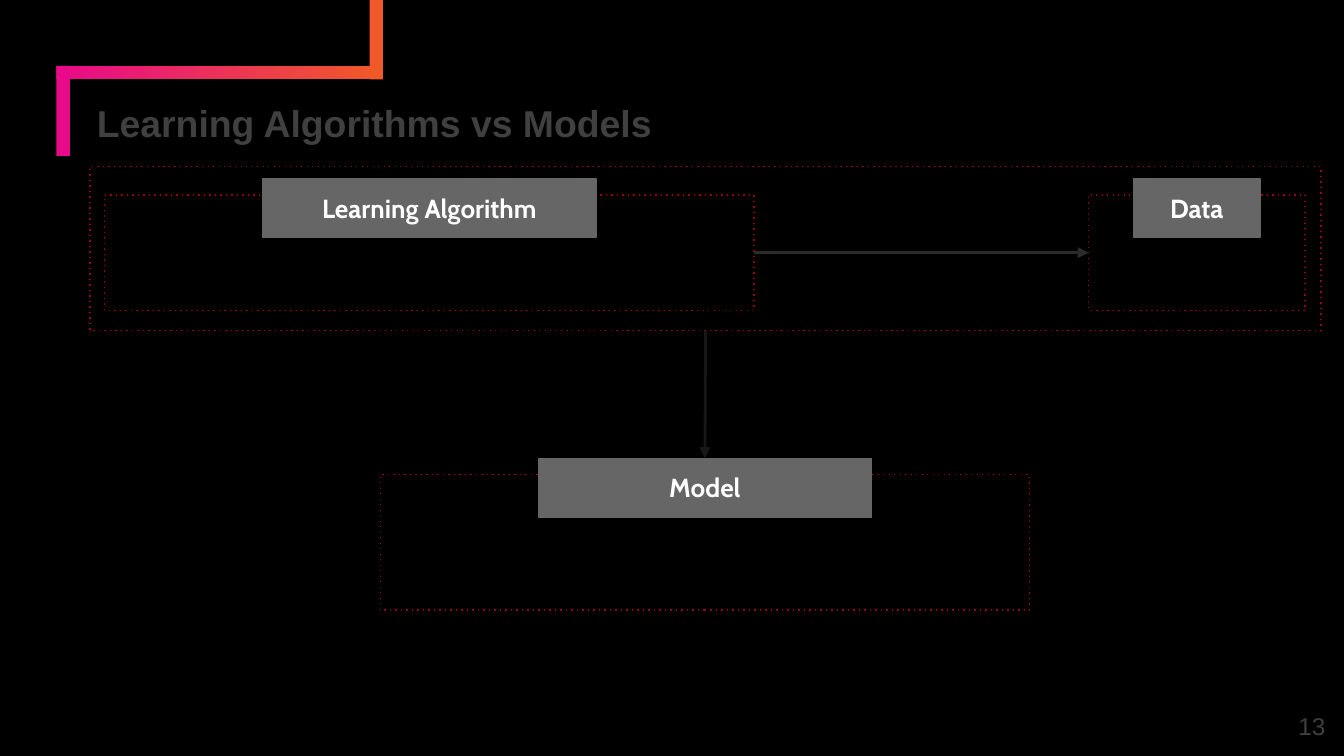
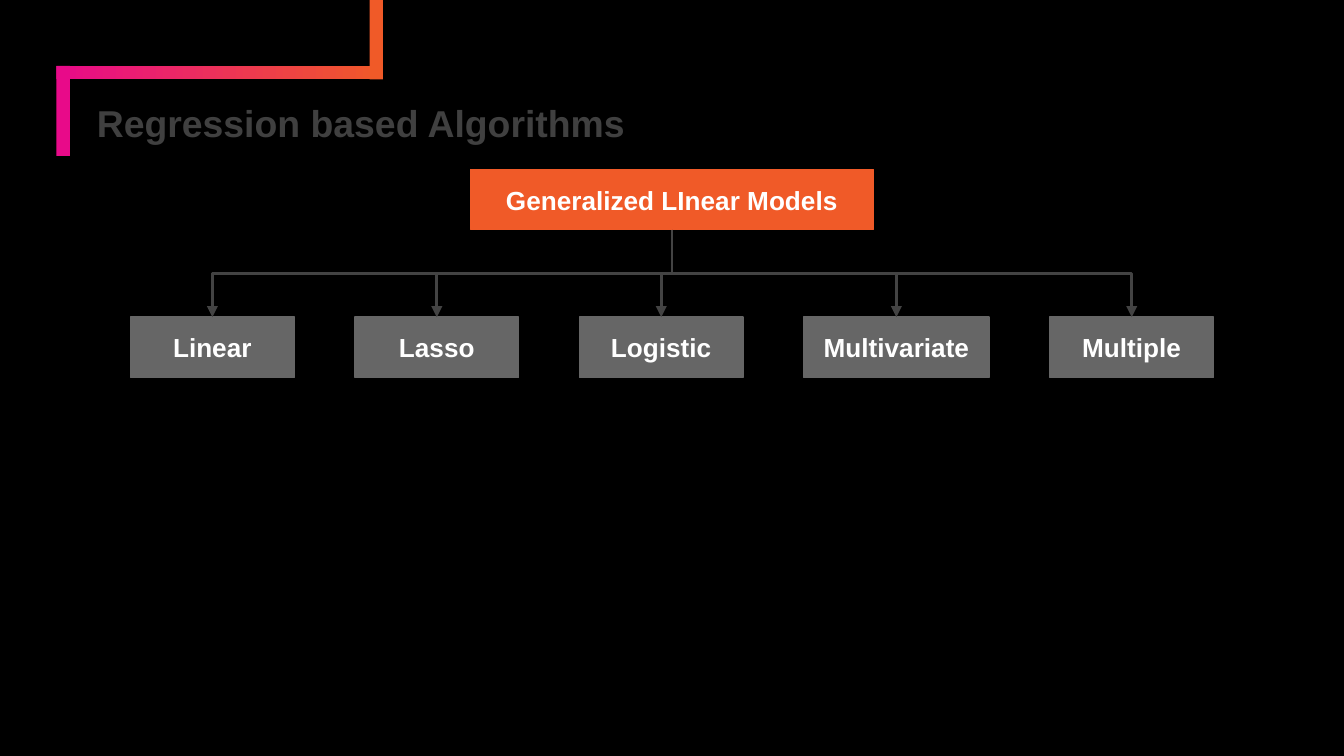
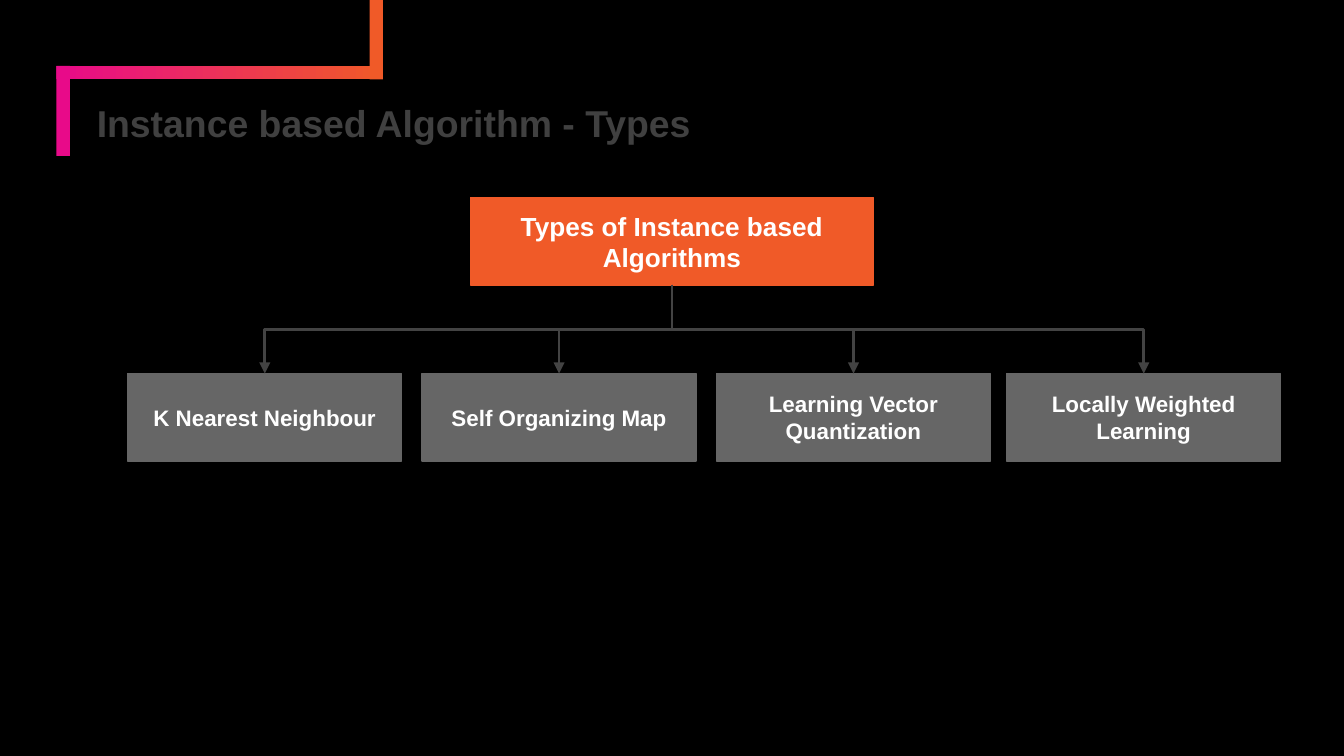
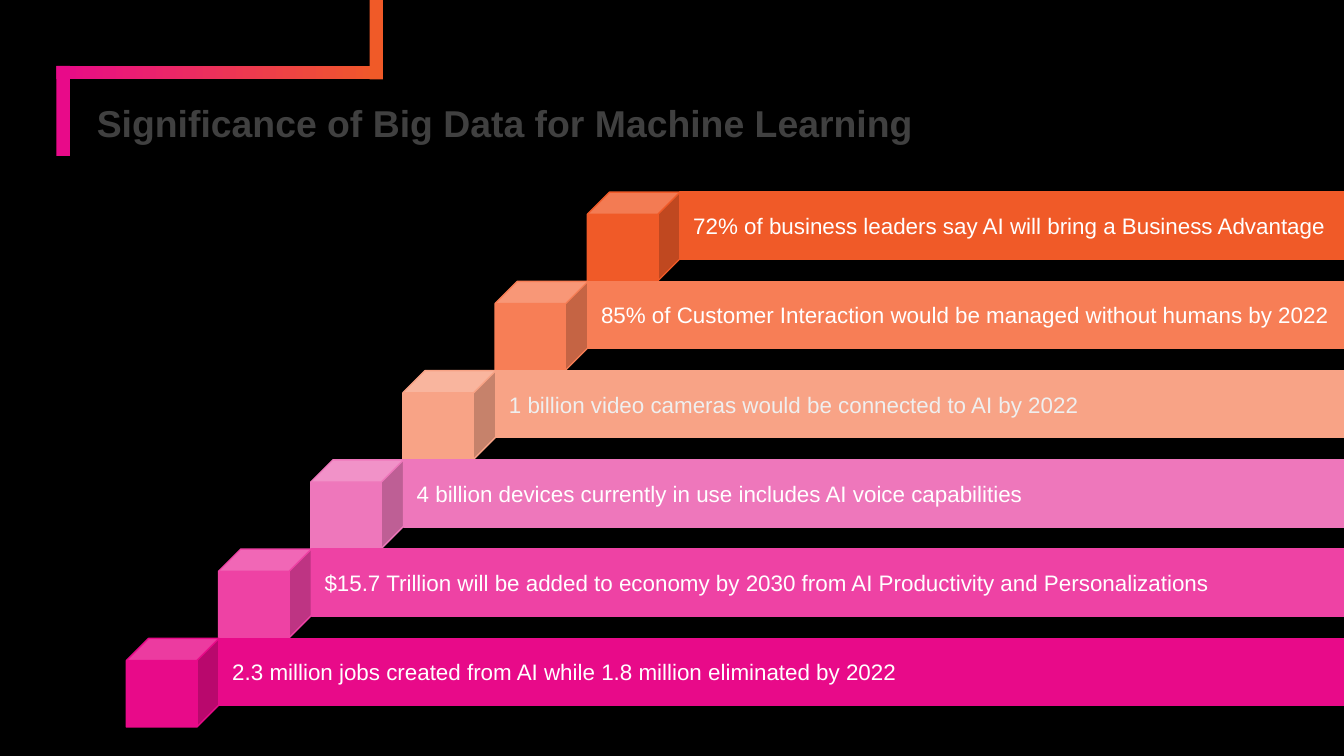
from dataclasses import dataclass

from lxml import etree
from pptx import Presentation
from pptx.dml.color import RGBColor
from pptx.enum import shapes, text
from pptx.oxml.ns import qn
from pptx.util import Inches, Pt


@dataclass(frozen=True)
class Theme:
    background: str = "000000"
    orange: str = "F05A28"
    pink: str = "E80A89"
    grey: str = "666666"
    ink: str = "404040"
    branch: str = "434343"
    white: str = "FFFFFF"
    font: str = "Arial"
    tag_font: str = "Cabin"
    title_size: int = 20
    number_size: int = 13
    label_size: int = 14
    small_size: int = 12
    thin: float = 0.75
    thick: float = 1.5


THEME = Theme()
SLIDE_SIZE = (10, 10 * 9 / 16)
TITLE_AREA = (0.67, 0.78, 9.03, 0.35)
TAG_HEIGHT, TAG_RISE = 0.44, 0.12

COMPARISON = {
    "title": "Learning Algorithms vs Models",
    "number": "13",
    "outer": ((0.67, 1.24, 9.16, 1.22), "990028"),
    "frames": [
        ("Learning Algorithm", (0.78, 1.45, 4.83, 0.86), "990000", 2.48),
        ("Model", (2.83, 3.53, 4.83, 1.01), "990028", 2.48),
        ("Data", (8.1, 1.45, 1.61, 0.86), "990028", 0.94),
    ],
}

TREES = [
    {
        "title": "Regression based Algorithms",
        "root": "Generalized LInear Models",
        "root_top": 1.26, "child_top": 2.36, "height": 0.45, "left": 0.97,
        "size": THEME.label_size,
        "children": [("Linear", 1.22), ("Lasso", 1.22), ("Logistic", 1.22),
                     ("Multivariate", 1.38), ("Multiple", 1.22)],
        "gaps": [0.45, 0.45, 0.45, 0.45, 0],
    },
    {
        "title": "Instance based Algorithm - Types",
        "root": "Types of Instance based Algorithms",
        "root_top": 1.47, "child_top": 2.78, "height": 0.65, "left": 0.95,
        "size": THEME.small_size,
        "children": [("K Nearest Neighbour", 2.04), ("Self Organizing Map", 2.04),
                     ("Learning Vector Quantization", 2.04),
                     ("Locally Weighted Learning", 2.04)],
        "gaps": [0.15, 0.15, 0.12, 0],
    },
]
ROOT_LEFT, ROOT_WIDTH = 3.5, 3

STEPS_TITLE = "Significance of Big Data for Machine Learning"
STEPS = [
    ("72% of business leaders say AI will bring a Business Advantage",
     THEME.orange, THEME.white),
    ("85% of Customer Interaction would be managed without humans by 2022",
     "F77E56", THEME.white),
    ("1 billion video cameras would be connected to AI by 2022",
     "F8A386", "EFEFEF"),
    ("4 billion devices currently in use includes AI voice capabilities",
     "EE77BB", THEME.white),
    ("$15.7 Trillion will be added to economy by 2030 from AI Productivity"
     " and Personalizations", "EE42A4", THEME.white),
    ("2.3 million jobs created from AI while 1.8 million eliminated by 2022",
     THEME.pink, THEME.white),
]
FIRST_CUBE, LAST_CUBE = (4.37, 1.43), (0.94, 4.75)
CUBE_SIZE = (0.69, 0.66)
BAR_RIGHT, BAR_HEIGHT = 10, 0.5


def rgb(value):
    return RGBColor.from_string(value)


def place(area):
    return [Inches(length) for length in area]


def write(shape, words, size, color, bold=False, font=THEME.font, inset=0.1,
          align=text.PP_ALIGN.LEFT, anchor=text.MSO_ANCHOR.TOP):
    frame = shape.text_frame
    frame.text = words
    frame.word_wrap = True
    frame.auto_size = text.MSO_AUTO_SIZE.NONE
    frame.vertical_anchor = anchor
    frame.margin_left = frame.margin_right = Inches(inset)
    frame.margin_top = frame.margin_bottom = Inches(inset)
    para = frame.paragraphs[0]
    para.alignment = align
    span = para.runs[0].font
    span.name, span.size, span.bold = font, Pt(size), bold
    span.color.rgb = rgb(color)
    return para


def add_block(slide, area, fill=None, line=None, kind=shapes.MSO_SHAPE.RECTANGLE):
    block = slide.shapes.add_shape(kind, *place(area))
    block.shadow.inherit = False
    if fill:
        block.fill.solid()
        block.fill.fore_color.rgb = rgb(fill)
    else:
        block.fill.background()
    if line:
        block.line.color.rgb = rgb(line)
        block.line.width = Pt(THEME.thin)
    else:
        block.line.fill.background()
    return block


def add_label(slide, area, words, fill, size=THEME.label_size, font=THEME.font,
              anchor=text.MSO_ANCHOR.MIDDLE):
    label = add_block(slide, area, fill, fill)
    write(label, words, size, THEME.white, True, font,
          align=text.PP_ALIGN.CENTER, anchor=anchor)
    return label


def add_frame(slide, area, color):
    frame = add_block(slide, area, line=color)
    outline = frame.element.spPr.find(qn("a:ln"))
    etree.SubElement(outline, qn("a:prstDash"), val="dot")
    return frame


def add_arrow(slide, kind, start, start_side, end, end_side, color):
    arrow = slide.shapes.add_connector(kind, 0, 0, 0, 0)
    arrow.begin_connect(start, start_side)
    arrow.end_connect(end, end_side)
    arrow.line.color.rgb = rgb(color)
    arrow.line.width = Pt(THEME.thick)
    properties = arrow.element.spPr
    etree.SubElement(properties.find(qn("a:ln")), qn("a:tailEnd"), type="triangle")
    etree.SubElement(properties, qn("a:effectLst"))
    return arrow


def add_branch(slide, root, child):
    arrow = add_arrow(slide, shapes.MSO_CONNECTOR.ELBOW, root, 2, child, 0,
                      THEME.branch)
    start_x, end_x = root.left + root.width // 2, child.left + child.width // 2
    start_y, end_y = root.top + root.height, child.top
    drop, reach = end_y - start_y, abs(end_x - start_x)
    arrow.left = (start_x + end_x - drop) // 2
    arrow.top = (start_y + end_y - reach) // 2
    arrow.width, arrow.height = drop, reach
    turn = arrow.element.spPr.find(qn("a:xfrm"))
    for name in ("flipH", "flipV"):
        turn.attrib.pop(name, None)
    if end_x < start_x:
        turn.set("rot", str(90 * 60000))
    else:
        turn.set("rot", str(270 * 60000))
        turn.set("flipH", "1")


def add_slide(deck, title):
    slide = deck.slides.add_slide(deck.slide_layouts[5])
    box = slide.shapes.title
    box.left, box.top, box.width, box.height = place(TITLE_AREA)
    para = write(box, title, THEME.title_size, THEME.ink, True, inset=0.05,
                 anchor=text.MSO_ANCHOR.BOTTOM)
    para.line_spacing = 0.9
    return slide


def decorate_layout(slide):
    layout = slide.slide_layout
    layout.background.fill.solid()
    layout.background.fill.fore_color.rgb = rgb(THEME.background)
    band = add_block(slide, (0.42, 0.49, 2.43, 0.1), THEME.pink)
    band.fill.gradient()
    band.fill.gradient_angle = 0
    for stop, color in zip(band.fill.gradient_stops, (THEME.pink, THEME.orange)):
        stop.color.rgb = rgb(color)
    left_post = add_block(slide, (0.42, 0.49, 0.1, 0.67), THEME.pink)
    right_post = add_block(slide, (2.75, 0, 0.1, 0.59), THEME.orange)
    for part in (band, left_post, right_post):
        layout.shapes.element.append(part.element)


def build_comparison(deck):
    slide = add_slide(deck, COMPARISON["title"])
    decorate_layout(slide)
    number = slide.shapes.add_textbox(*place((9.36, 5.19, 0.6, 0.43)))
    write(number, COMPARISON["number"], THEME.number_size, THEME.ink,
          align=text.PP_ALIGN.RIGHT)
    outer = add_frame(slide, *COMPARISON["outer"])
    frames, tags = {}, {}
    for name, area, color, tag_width in COMPARISON["frames"]:
        left, top, width, _ = area
        frames[name] = add_frame(slide, area, color)
        tag_area = (left + (width - tag_width) / 2, top - TAG_RISE,
                    tag_width, TAG_HEIGHT)
        tags[name] = add_label(slide, tag_area, name, THEME.grey,
                               font=THEME.tag_font, anchor=text.MSO_ANCHOR.TOP)
        tags[name].text_frame.auto_size = text.MSO_AUTO_SIZE.SHAPE_TO_FIT_TEXT
    straight = shapes.MSO_CONNECTOR.STRAIGHT
    add_arrow(slide, straight, frames["Learning Algorithm"], 3,
              frames["Data"], 1, "2B2B2B")
    add_arrow(slide, straight, outer, 2, tags["Model"], 0, "181818")


def build_tree(deck, tree):
    slide = add_slide(deck, tree["title"])
    height, left = tree["height"], tree["left"]
    root = add_label(slide, (ROOT_LEFT, tree["root_top"], ROOT_WIDTH, height),
                     tree["root"], THEME.orange)
    children = []
    for (name, width), gap in zip(tree["children"], tree["gaps"]):
        area = (left, tree["child_top"], width, height)
        children.append(add_label(slide, area, name, THEME.grey, tree["size"]))
        left += width + gap
    for child in children:
        add_branch(slide, root, child)


def build_steps(deck):
    slide = add_slide(deck, STEPS_TITLE)
    for index, (words, fill, color) in enumerate(STEPS):
        share = index / (len(STEPS) - 1)
        left, top = (first + (last - first) * share
                     for first, last in zip(FIRST_CUBE, LAST_CUBE))
        add_block(slide, (left, top, *CUBE_SIZE), fill, fill, shapes.MSO_SHAPE.CUBE)
        bar_left = left + CUBE_SIZE[0]
        bar = add_block(slide, (bar_left, top, BAR_RIGHT - bar_left, BAR_HEIGHT),
                        fill, fill)
        write(bar, words, THEME.small_size, color, anchor=text.MSO_ANCHOR.MIDDLE)


def main():
    deck = Presentation()
    deck.slide_width, deck.slide_height = place(SLIDE_SIZE)
    build_comparison(deck)
    for tree in TREES:
        build_tree(deck, tree)
    build_steps(deck)
    deck.save("out.pptx")


if __name__ == "__main__":
    main()
